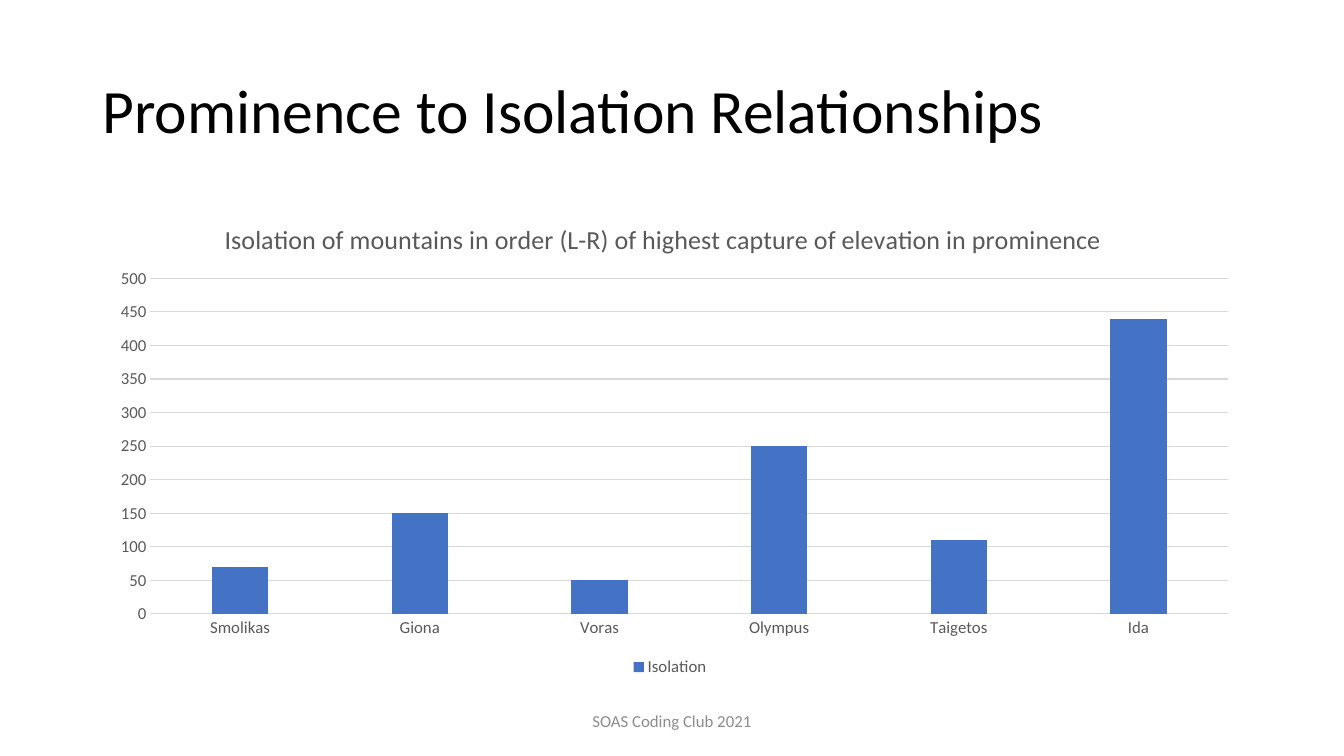
from typing import NamedTuple

from lxml.etree import SubElement
from pptx import Presentation
from pptx.chart.axis import CategoryAxis, ValueAxis
from pptx.chart.chart import Chart
from pptx.chart.data import CategoryChartData as ChartData
from pptx.dml.color import RGBColor
from pptx.enum.chart import XL_CHART_TYPE as Kind, XL_LEGEND_POSITION as Place
from pptx.enum.chart import XL_TICK_MARK as Tick
from pptx.enum.text import MSO_ANCHOR as Anchor, PP_ALIGN as Align
from pptx.oxml import parse_xml
from pptx.oxml.ns import nsdecls, qn
from pptx.slide import Slide
from pptx.text.text import Font
from pptx.util import Pt

FACE = "Calibri"
BLACK = RGBColor(0x00, 0x00, 0x00)
GREY = RGBColor(0x59, 0x59, 0x59)
PALE = RGBColor(0xD9, 0xD9, 0xD9)
DIM = RGBColor(0x8C, 0x8C, 0x8C)
BLUE = RGBColor(0x44, 0x72, 0xC4)


class Box(NamedTuple):
    left: float
    top: float
    width: float
    height: float


class Peak(NamedTuple):
    name: str
    gap: int


TITLE = Box(66, 28.75, 828, 104.4)
CHART = Box(66, 144, 828, 342.6)
FOOT = Box(318, 500.5, 324, 28.75)

PEAKS = [
    Peak("Smolikas", 70),
    Peak("Giona", 150),
    Peak("Voras", 50),
    Peak("Olympus", 250),
    Peak("Taigetos", 110),
    Peak("Ida", 440),
]


def style(font: Font, size: float, color: RGBColor) -> None:
    font.name = FACE
    font.size = Pt(size)
    font.bold = False
    font.color.rgb = color


def pin(parent, index: int, **spots: float) -> None:
    """Give a chart part a fixed layout, in fractions of the chart."""
    for old in parent.findall(qn("c:layout")):
        parent.remove(old)
    layout = parse_xml(f"<c:layout {nsdecls('c')}><c:manualLayout/></c:layout>")
    if "w" in spots:
        SubElement(layout[0], qn("c:layoutTarget"), val="inner")
    for side in ("x", "y"):
        SubElement(layout[0], qn(f"c:{side}Mode"), val="edge")
    for key, value in spots.items():
        SubElement(layout[0], qn(f"c:{key}"), val=str(value))
    parent.insert(index, layout)


def set_axis(axis: CategoryAxis | ValueAxis) -> None:
    axis.major_tick_mark = axis.minor_tick_mark = Tick.NONE
    style(axis.tick_labels.font, 12, GREY)


def add_title(slide: Slide) -> None:
    title = slide.shapes.title
    title.left, title.top, title.width, title.height = map(Pt, TITLE)
    frame = title.text_frame
    frame.text = "Prominence to Isolation Relationships"
    frame.vertical_anchor = Anchor.MIDDLE
    para = frame.paragraphs[0]
    para.alignment = Align.LEFT
    para.line_spacing = 0.9
    style(para.font, 44, BLACK)


def add_foot(slide: Slide) -> None:
    frame = slide.shapes.add_textbox(*map(Pt, FOOT)).text_frame
    frame.word_wrap = True
    frame.text = "SOAS Coding Club 2021"
    frame.vertical_anchor = Anchor.MIDDLE
    para = frame.paragraphs[0]
    para.alignment = Align.CENTER
    style(para.font, 12, DIM)


def set_head(chart: Chart) -> None:
    frame = chart.chart_title.text_frame
    frame.text = ("Isolation of mountains in order (L-R) of highest "
                  "capture of elevation in prominence ")
    style(frame.paragraphs[0].font, 18.6, GREY)
    chart.chart_title.include_in_layout = False
    pin(chart.element.chart.find(qn("c:title")), 1, x=0.11, y=0.03)


def add_chart(slide: Slide) -> None:
    data = ChartData()
    data.categories = [peak.name for peak in PEAKS]
    data.add_series("Isolation ", [peak.gap for peak in PEAKS])
    chart = slide.shapes.add_chart(
        Kind.COLUMN_CLUSTERED, *map(Pt, CHART), data).chart
    style(chart.font, 10, BLACK)
    set_head(chart)

    plot = chart.plots[0]
    plot.gap_width, plot.overlap = 219, -27
    plot.vary_by_categories = False
    fill = plot.series[0].format.fill
    fill.solid()
    fill.fore_color.rgb = BLUE
    pin(chart.element.chart.plotArea, 0, x=0.05, y=0.16, w=0.93, h=0.7)

    names, scale = chart.category_axis, chart.value_axis
    set_axis(names)
    set_axis(scale)
    scale.minimum_scale, scale.maximum_scale = 0, 500
    scale.major_unit = 50
    scale.format.line.fill.background()
    for line in (names.format.line, scale.major_gridlines.format.line):
        line.color.rgb = PALE
        line.width = Pt(0.75)

    chart.has_legend = True
    chart.legend.position = Place.BOTTOM
    chart.legend.include_in_layout = False
    style(chart.legend.font, 12, GREY)


def main() -> None:
    deck = Presentation()
    deck.slide_width, deck.slide_height = Pt(960), Pt(540)
    slide = deck.slides.add_slide(deck.slide_layouts[5])
    add_title(slide)
    add_foot(slide)
    add_chart(slide)
    deck.save("out.pptx")


if __name__ == "__main__":
    main()
